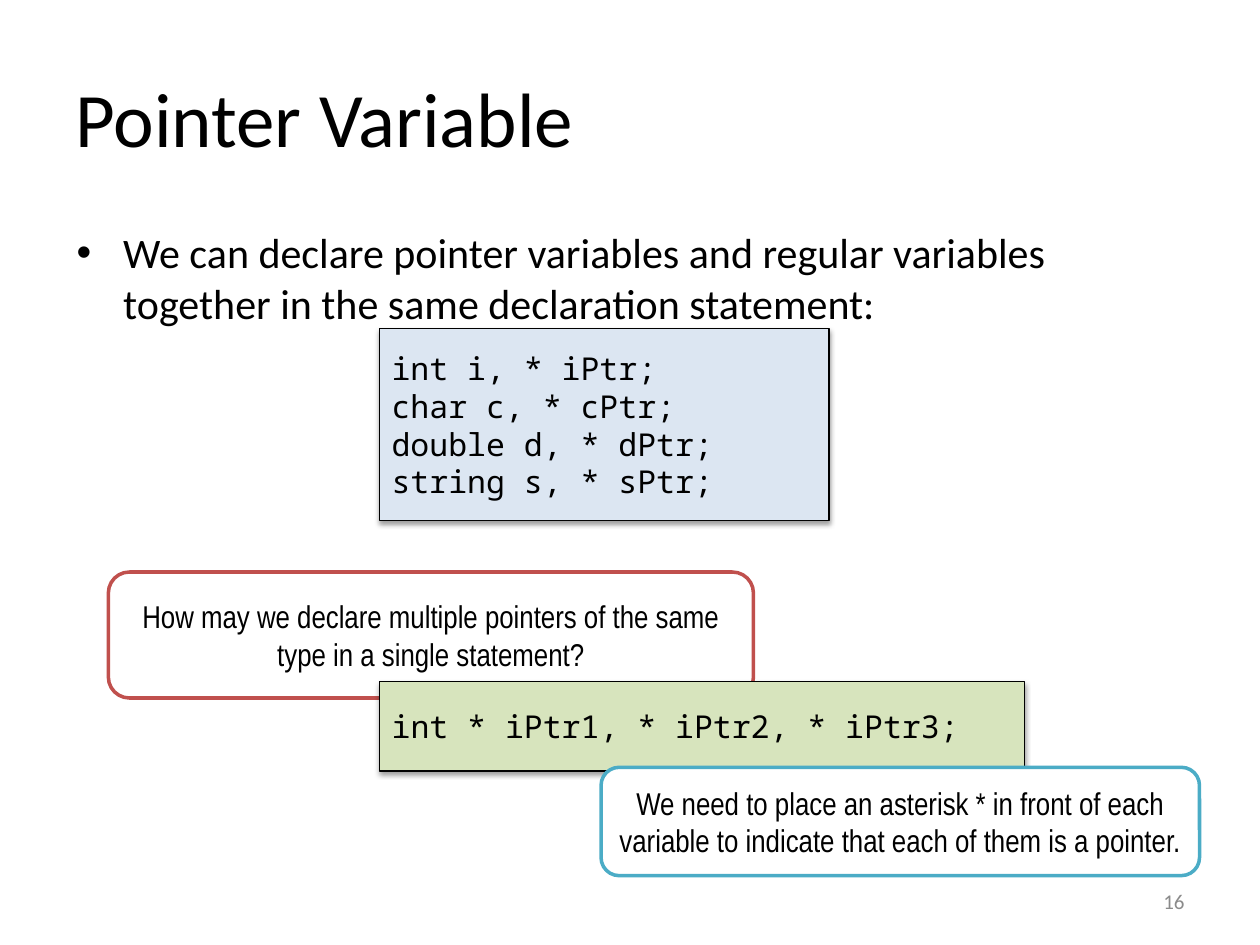
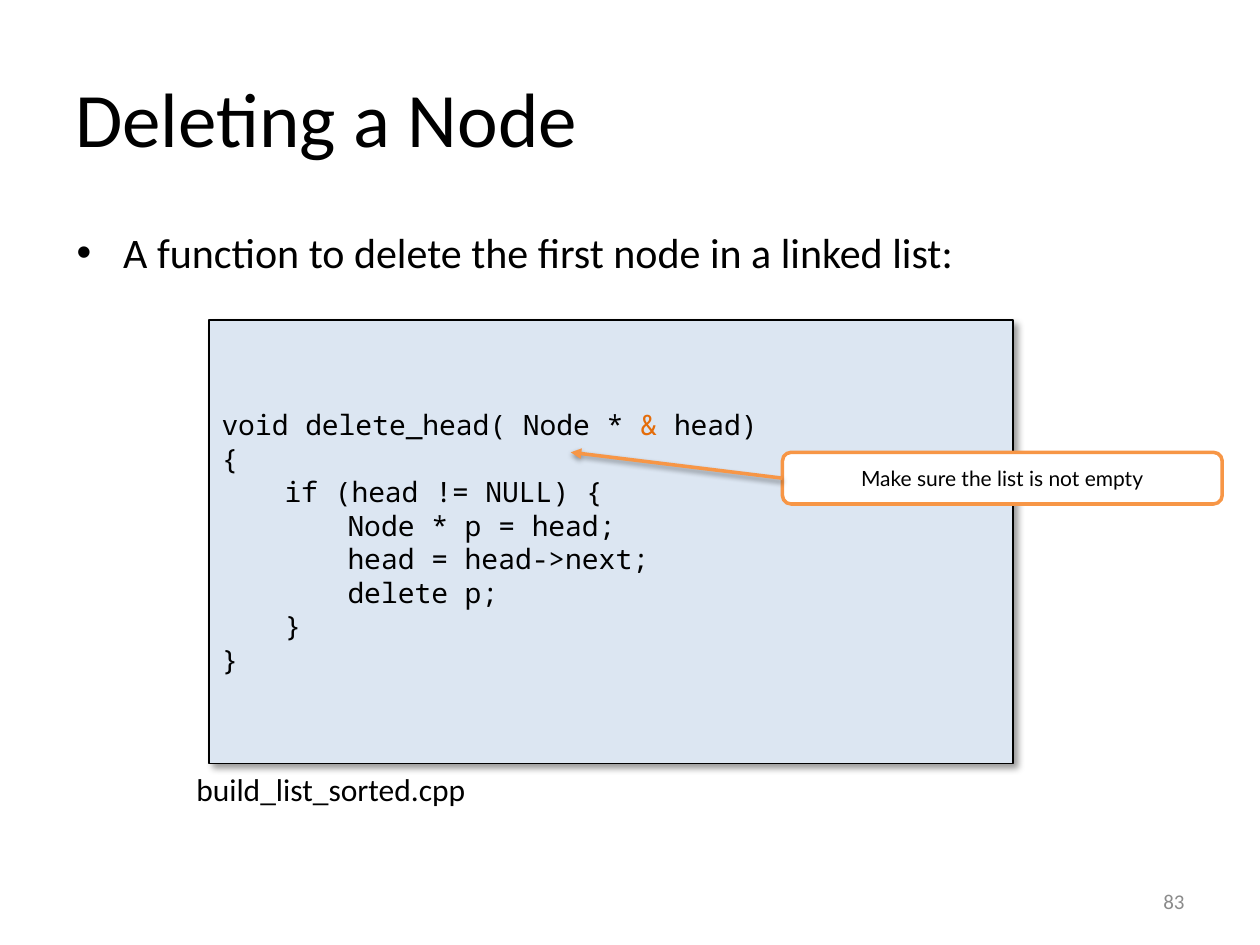
from lxml.etree import SubElement
from pptx import Presentation
from pptx.dml.color import RGBColor
from pptx.enum.shapes import MSO_CONNECTOR, MSO_SHAPE
from pptx.enum.text import MSO_ANCHOR, PP_ALIGN
from pptx.oxml.ns import qn
from pptx.util import Inches, Pt

BLACK, WHITE, GRAY = "000000", "FFFFFF", "8B8B8B"
CODE_BLUE, CODE_GREEN = "DCE6F2", "D7E4BD"
RED, TEAL, ORANGE, DARK_ORANGE = "C0504D", "4BACC6", "F79646", "E46C0A"
BODY_FONT, CODE_FONT, NOTE_FONT = "Calibri", "Noto Sans Mono", "Arial Narrow"
# Shadows: opacity in percent, blur and distance in points, angle in degrees
SOFT_SHADOW = (38, 3.1, 1.6, 90)
DEEP_SHADOW = (40, 4, 3, 45)


def color(value):
    return RGBColor.from_string(value)


def write(frame, paragraphs, font=BODY_FONT, size=18, fill=BLACK,
          align=PP_ALIGN.LEFT, anchor=MSO_ANCHOR.MIDDLE, wrap=True, bullet=None):
    """Write paragraphs; each is a string or a list of (text, color) runs."""
    frame.word_wrap = wrap
    frame.vertical_anchor = anchor
    for index, content in enumerate(paragraphs):
        paragraph = frame.add_paragraph() if index else frame.paragraphs[0]
        if bullet:
            properties = paragraph._p.get_or_add_pPr()
            properties.set("marL", str(Inches(0.38)))
            properties.set("indent", str(-Inches(0.37)))
            SubElement(properties, qn("a:buFont"), typeface="Arial")
            SubElement(properties, qn("a:buChar"), char=bullet)
        paragraph.alignment = align
        runs = [(content, fill)] if isinstance(content, str) else content
        for text, run_color in runs:
            run = paragraph.add_run()
            run.text = text
            run.font.name = font
            run.font.size = Pt(size)
            run.font.color.rgb = color(run_color)


def add_shadow(effects, shadow):
    opacity, blur, distance, angle = shadow
    outer = SubElement(effects, qn("a:outerShdw"), blurRad=str(Pt(blur)),
                       dist=str(Pt(distance)), dir=str(angle * 60000),
                       rotWithShape="0")
    base = SubElement(outer, qn("a:srgbClr"), val=BLACK)
    SubElement(base, qn("a:alpha"), val=str(opacity * 1000))


class Deck:
    def __init__(self):
        self.presentation = Presentation()
        self.presentation.slide_width = Inches(10)
        self.presentation.slide_height = Inches(7.5)
        self.slide = None

    def start_slide(self, title, point, number):
        """Start a slide with its title, bullet point and page number."""
        layout = self.presentation.slide_layouts[6]
        self.slide = self.presentation.slides.add_slide(layout)
        self.text(0.5, 0.3, 9, 1.25, title, size=44)
        self.text(0.5, 1.75, 9, 4.95, point, size=24,
                  anchor=MSO_ANCHOR.TOP, bullet="•")
        self.text(7.17, 6.95, 2.33, 0.4, str(number), size=12, fill=GRAY,
                  align=PP_ALIGN.RIGHT)

    def text(self, left, top, width, height, content, **style):
        box = self.slide.shapes.add_textbox(
            Inches(left), Inches(top), Inches(width), Inches(height))
        write(box.text_frame, [content], **style)

    def box(self, kind, left, top, width, height, fill, line, weight):
        shape = self.slide.shapes.add_shape(
            kind, Inches(left), Inches(top), Inches(width), Inches(height))
        shape.shadow.inherit = False
        shape.fill.solid()
        shape.fill.fore_color.rgb = color(fill)
        shape.line.color.rgb = color(line)
        shape.line.width = Pt(weight)
        return shape

    def code(self, left, top, width, height, lines, fill=CODE_BLUE, size=18,
             shadow=SOFT_SHADOW):
        shape = self.box(MSO_SHAPE.RECTANGLE, left, top, width, height,
                         fill, BLACK, 0.75)
        add_shadow(shape._element.spPr.find(qn("a:effectLst")), shadow)
        write(shape.text_frame, lines, font=CODE_FONT, size=size)

    def callout(self, left, top, width, height, content, line,
                font=NOTE_FONT, size=18):
        shape = self.box(MSO_SHAPE.ROUNDED_RECTANGLE, left, top, width, height,
                         WHITE, line, 2)
        write(shape.text_frame, [content], font=font, size=size,
              align=PP_ALIGN.CENTER)
        return shape

    def arrow(self, source, side, x, y, line):
        """Draw an arrow from the side of a shape to a point."""
        connector = self.slide.shapes.add_connector(
            MSO_CONNECTOR.STRAIGHT, source.left, source.top, Inches(x), Inches(y))
        connector.begin_connect(source, side)
        connector.line.color.rgb = color(line)
        connector.line.width = Pt(2)
        SubElement(connector.line._get_or_add_ln(), qn("a:tailEnd"), type="triangle")
        effects = SubElement(connector._element.spPr, qn("a:effectLst"))
        add_shadow(effects, SOFT_SHADOW)


def pointer_variable(deck):
    deck.start_slide(
        "Pointer Variable",
        "We can declare pointer variables and regular variables together "
        "in the same declaration statement:", 16)
    deck.code(3.01, 2.61, 3.57, 1.52, [
        "int i, * iPtr;",
        "char c, * cPtr;",
        "double d, * dPtr;",
        "string s, * sPtr;",
    ])
    # Question, answer and explanation overlap in this order
    deck.callout(0.86, 4.54, 5.12, 1,
                 "How may we declare multiple pointers of the same type "
                 "in a single statement?", RED)
    deck.code(3.01, 5.41, 5.12, 0.71, ["int * iPtr1, * iPtr2, * iPtr3;"],
              fill=CODE_GREEN)
    deck.callout(4.77, 6.09, 4.75, 0.86,
                 "We need to place an asterisk * in front of each variable "
                 "to indicate that each of them is a pointer.", TEAL)


def deleting_a_node(deck):
    deck.start_slide("Deleting a Node",
                     "A function to delete the first node in a linked list:", 83)
    deck.code(1.66, 2.54, 6.38, 3.52, [
        [("void delete_head( Node * ", BLACK), ("& ", DARK_ORANGE),
         ("head)", BLACK)],
        "{",
        "\tif (head != NULL) {",
        "\t\tNode * p = head;",
        "\t\thead = head->next;",
        "\t\tdelete p;",
        "\t}",
        "}",
    ], size=16, shadow=DEEP_SHADOW)
    # Remark pointing at the condition
    remark = deck.callout(6.21, 3.59, 3.49, 0.41,
                          "Make sure the list is not empty", ORANGE,
                          font="Lato", size=12)
    deck.arrow(remark, 1, 4.53, 3.59, ORANGE)
    # File name under the code
    deck.text(1.46, 6.06, 2.76, 0.4, "build_list_sorted.cpp",
              anchor=MSO_ANCHOR.TOP, wrap=False)


def main():
    deck = Deck()
    pointer_variable(deck)
    deleting_a_node(deck)
    deck.presentation.save("out.pptx")


if __name__ == "__main__":
    main()
